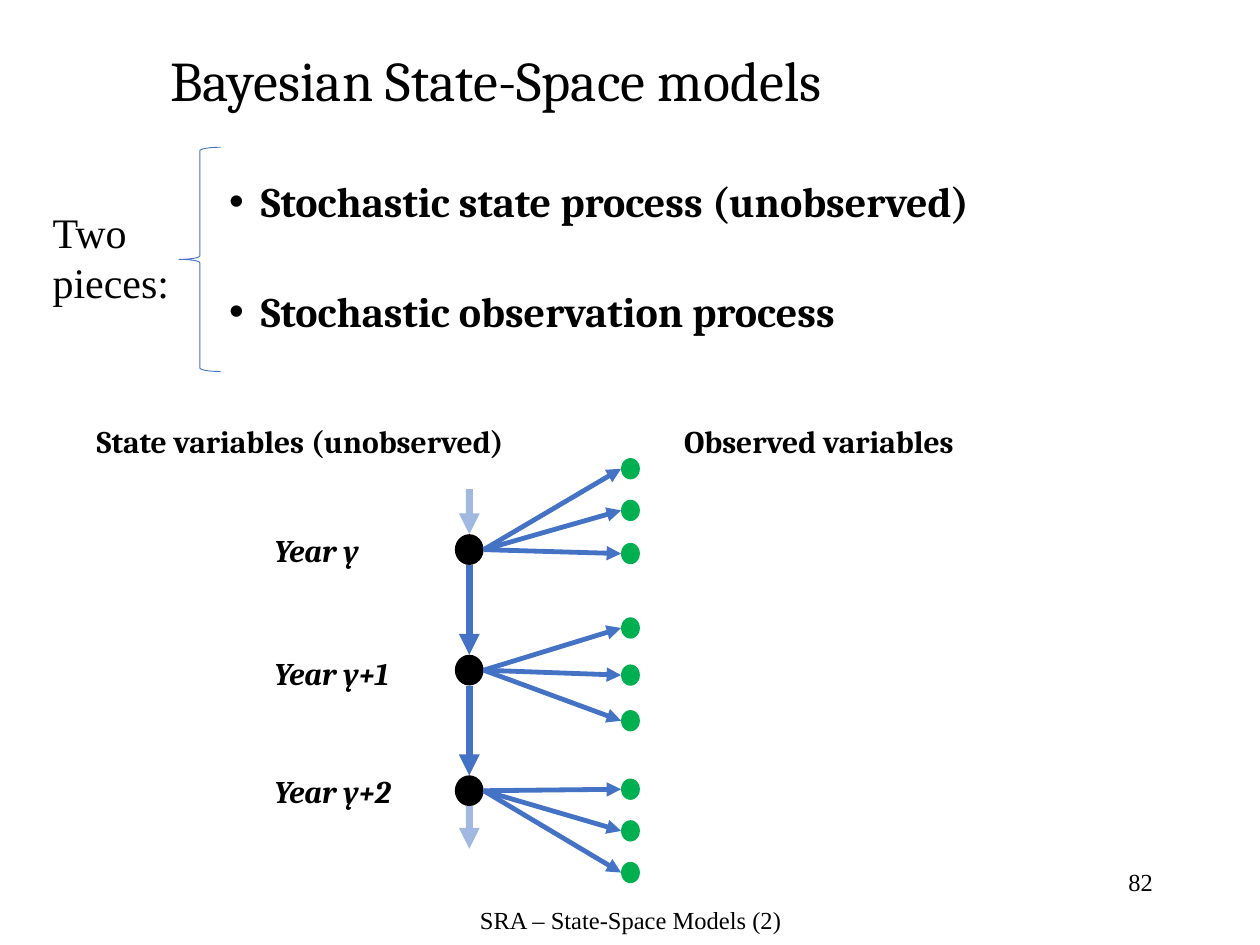
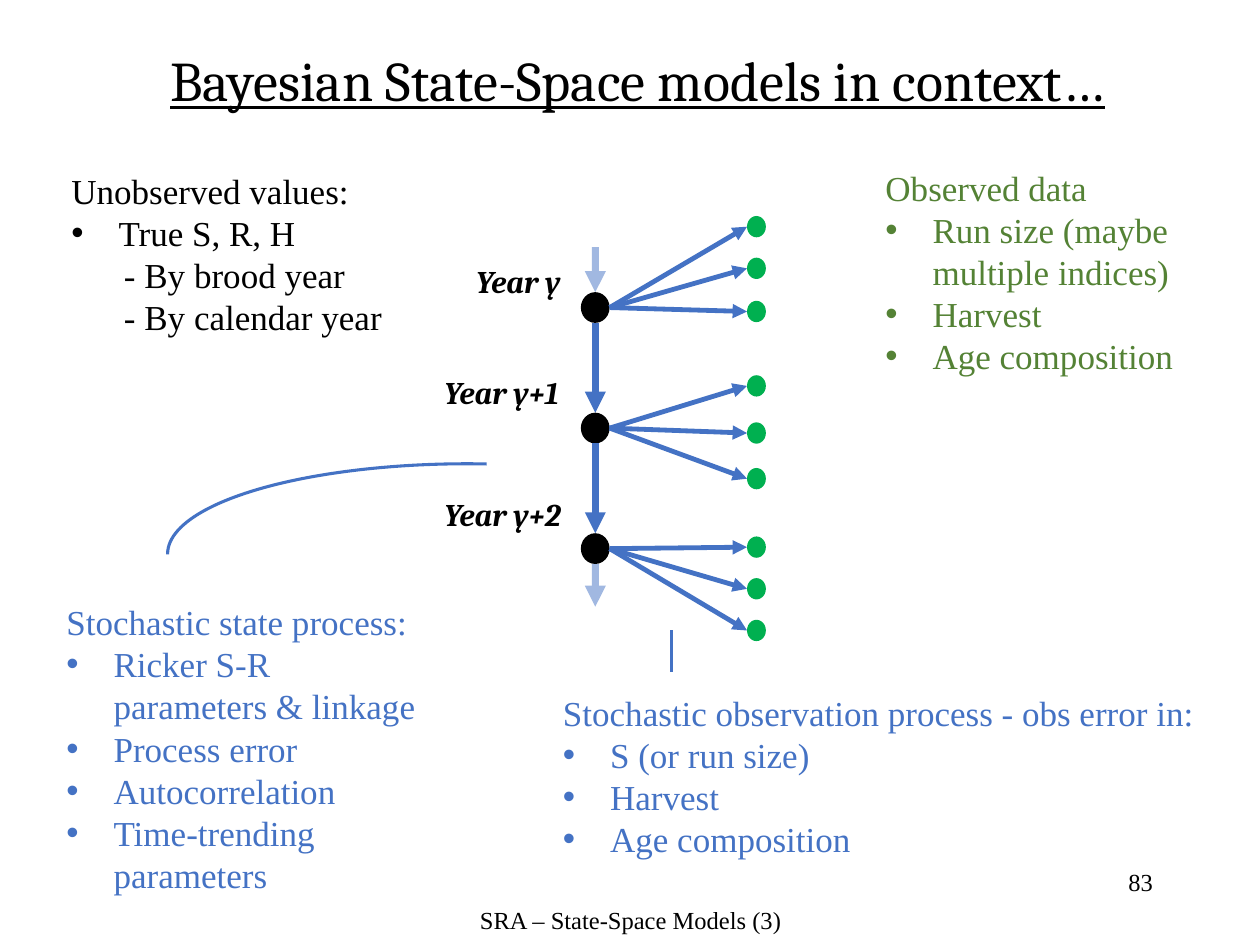
from lxml import etree
from pptx import Presentation
from pptx.dml.color import RGBColor
from pptx.enum import shapes, text
from pptx.oxml.ns import qn
from pptx.util import Cm, Pt

BLACK = RGBColor(0x00, 0x00, 0x00)
BLUE = RGBColor(0x44, 0x72, 0xC4)
GREEN = RGBColor(0x00, 0xB0, 0x50)
OLIVE = RGBColor(0x54, 0x82, 0x35)
SERIF, TIMES = "Cambria", "Times New Roman"
LEFT, MID, RIGHT = text.PP_ALIGN.LEFT, text.PP_ALIGN.CENTER, text.PP_ALIGN.RIGHT

# Lengths are in centimetres. A list item is (indent kind, wording).
HEAD, ITEM, SUB = "head", "item", "sub"
INDENT = {HEAD: (0, 0), ITEM: (0.95, -0.95), SUB: (1.06, 0)}

PIECES = ["Stochastic state process (unobserved)", "Stochastic observation process"]
CAPTIONS = [("State variables (unobserved)", (1.7, 8.38, 8.99, 1.02)),
            ("Observed variables", (13.54, 8.38, 6.15, 1.02))]

YEARS = [("Year y", 2.26), ("Year y+1", 3), ("Year y+2", 3)]
SPOTS = {1: [(5.28, 10.59), (5.28, 13.06), (5.28, 15.44)],
         2: [(9.35, 5.16), (8.71, 7.39), (8.71, 9.86)]}
CENTRE = {1: (9.46, 11.08), 2: (12, 6.2)}

# Height of each observed dot against the state node of its year
OFFSETS = [(-1.63, -0.79, 0.08), (-0.85, 0.1, 1.02), (-0.03, 0.81, 1.65)]
STEP, REACH = 2.43, 3.25
NODE, DOT = (0.58, 0.62), (0.38, 0.43)
LEAD, TRAIL = 0.91, 0.86

NOTES = [
    ((1.19, 3.3, 6.86, 4.52), BLACK,
     [(HEAD, "Unobserved values:"), (ITEM, "True S, R, H"),
      (SUB, "- By brood year"), (SUB, "- By calendar year")]),
    ((1.09, 11.99, 7.59, 7.09), BLUE,
     [(HEAD, "Stochastic state process:"), (ITEM, "Ricker S-R parameters & linkage"),
      (ITEM, "Process error"), (ITEM, "Autocorrelation"),
      (ITEM, "Time-trending parameters")]),
    ((11.1, 13.82, 13.67, 4.52), BLUE,
     [(HEAD, "Stochastic observation process - obs error in:"),
      (ITEM, "S (or run size)"), (ITEM, "Harvest"), (ITEM, "Age composition")]),
    ((17.6, 3.23, 6.68, 5.38), OLIVE,
     [(HEAD, "Observed data"), (ITEM, "Run size (maybe multiple indices)"),
      (ITEM, "Harvest"), (ITEM, "Age composition")]),
]


def write(slide, box, lines, size, face=TIMES, color=BLACK, align=LEFT, wrap=True,
          bold=False, slant=False, under=False):
    """Add a text box with one paragraph per line and return its frame."""
    frame = slide.shapes.add_textbox(*map(Cm, box)).text_frame
    frame.word_wrap = wrap
    frame.text = "\n".join(lines)
    for para in frame.paragraphs:
        para.alignment = align
        for run in para.runs:
            font = run.font
            font.name, font.size, font.color.rgb = face, Pt(size), color
            font.bold, font.italic, font.underline = bold, slant, under
    return frame


def indent(para, left, first):
    props = para._p.get_or_add_pPr()
    props.set("marL", str(Cm(left)))
    props.set("indent", str(Cm(first)))
    if first:
        etree.SubElement(props, qn("a:buFont"), typeface="Arial")
        etree.SubElement(props, qn("a:buChar"), char="•")


def outline(slide, kind, box, width):
    shape = slide.shapes.add_shape(kind, *map(Cm, box))
    shape.shadow.inherit = False
    shape.fill.background()
    shape.line.color.rgb = BLUE
    shape.line.width = Pt(width)
    return shape


def oval(slide, x, y, size, color):
    """Add an ellipse centred on x, y."""
    wide, high = size
    shape = slide.shapes.add_shape(shapes.MSO_SHAPE.OVAL, Cm(x - wide / 2),
                                   Cm(y - high / 2), Cm(wide), Cm(high))
    shape.shadow.inherit = False
    shape.fill.solid()
    shape.fill.fore_color.rgb = color
    shape.line.fill.background()


def link(slide, start, end, width, arrow=True, faint=False):
    line = slide.shapes.add_connector(shapes.MSO_CONNECTOR.STRAIGHT,
                                      *map(Cm, start + end))
    line.line.color.rgb = BLUE
    line.line.width = Pt(width)
    stroke = line.line._get_or_add_ln()
    if faint:
        etree.SubElement(stroke.find(".//" + qn("a:srgbClr")), qn("a:alpha"), val="50000")
    if arrow:
        etree.SubElement(stroke, qn("a:tailEnd"), type="triangle")
    etree.SubElement(line._element.spPr, qn("a:effectLst"))


def graph(slide, part):
    """Draw the chain of states, its observations and the year labels."""
    x, top = CENTRE[part]
    wide, half = NODE[0] / 2, NODE[1] / 2
    last = len(YEARS) - 1
    for i, ((year, width), spot) in enumerate(zip(YEARS, SPOTS[part])):
        y = top + i * STEP
        oval(slide, x, y, NODE, BLACK)
        if i < last:
            link(slide, (x, y + half), (x, y + STEP - half), 4)
        for gap in OFFSETS[i]:
            oval(slide, x + REACH, y + gap, DOT, GREEN)
            link(slide, (x + wide, y), (x + REACH - DOT[0] / 2, y + gap), 2.75)
        write(slide, spot + (width, 1.02), [year], 18, SERIF, wrap=False,
              bold=True, slant=True)
    link(slide, (x, top - half - LEAD), (x, top - half), 4, faint=True)
    end = top + last * STEP + half
    link(slide, (x, end), (x, end + TRAIL), 4, faint=True)


def start(deck, title, number, foot, under=False):
    """Add a slide with the shared title, page number and footer."""
    slide = deck.slides.add_slide(deck.slide_layouts[6])
    frame = write(slide, (3.18, 0.69, 21, 2), [title], 32, SERIF, under=under)
    frame.vertical_anchor = text.MSO_ANCHOR.MIDDLE
    frame.paragraphs[0].line_spacing = 0.9
    write(slide, (18.21, 17.35, 5.28, 1.27), [number], 14, align=RIGHT)
    write(slide, (8.69, 18.11, 8.05, 0.94), [foot], 14, align=MID)
    return slide


def pieces(deck):
    slide = start(deck, "Bayesian State-Space models", "82", "SRA – State-Space Models (2)")
    frame = write(slide, (4.37, 3.53, 19.81, 4.95), PIECES, 24, SERIF, bold=True)
    for para in frame.paragraphs:
        para.line_spacing = 0.9
        indent(para, 0.64, -0.64)
    frame.paragraphs[1].space_before = Pt(37)
    write(slide, (0.81, 4.04, 3.18, 2.31), ["Two pieces:"], 24)
    outline(slide, shapes.MSO_SHAPE.LEFT_BRACE, (3.61, 2.97, 0.84, 4.52), 0.5)
    for words, box in CAPTIONS:
        write(slide, box, [words], 18, SERIF, wrap=False, bold=True)
    graph(slide, 1)


def context(deck):
    slide = start(deck, "Bayesian State-Space models in context…", "83",
                  "SRA – State-Space Models (3)", under=True)
    graph(slide, 2)
    for box, color, items in NOTES:
        frame = write(slide, box, [words for _, words in items], 20, color=color)
        for para, (kind, _) in zip(frame.paragraphs, items):
            indent(para, *INDENT[kind])
    arc = outline(slide, shapes.MSO_SHAPE.ARC, (3.38, 9.35, 12.07, 3.63), 1.75)
    arc.adjustments[0], arc.adjustments[1] = 107.93, 169.43
    link(slide, (13.54, 12.7), (13.54, 13.54), 1.75, arrow=False)


def main():
    deck = Presentation()
    deck.slide_width, deck.slide_height = Cm(25.4), Cm(19.05)
    pieces(deck)
    context(deck)
    deck.save("out.pptx")


if __name__ == "__main__":
    main()
